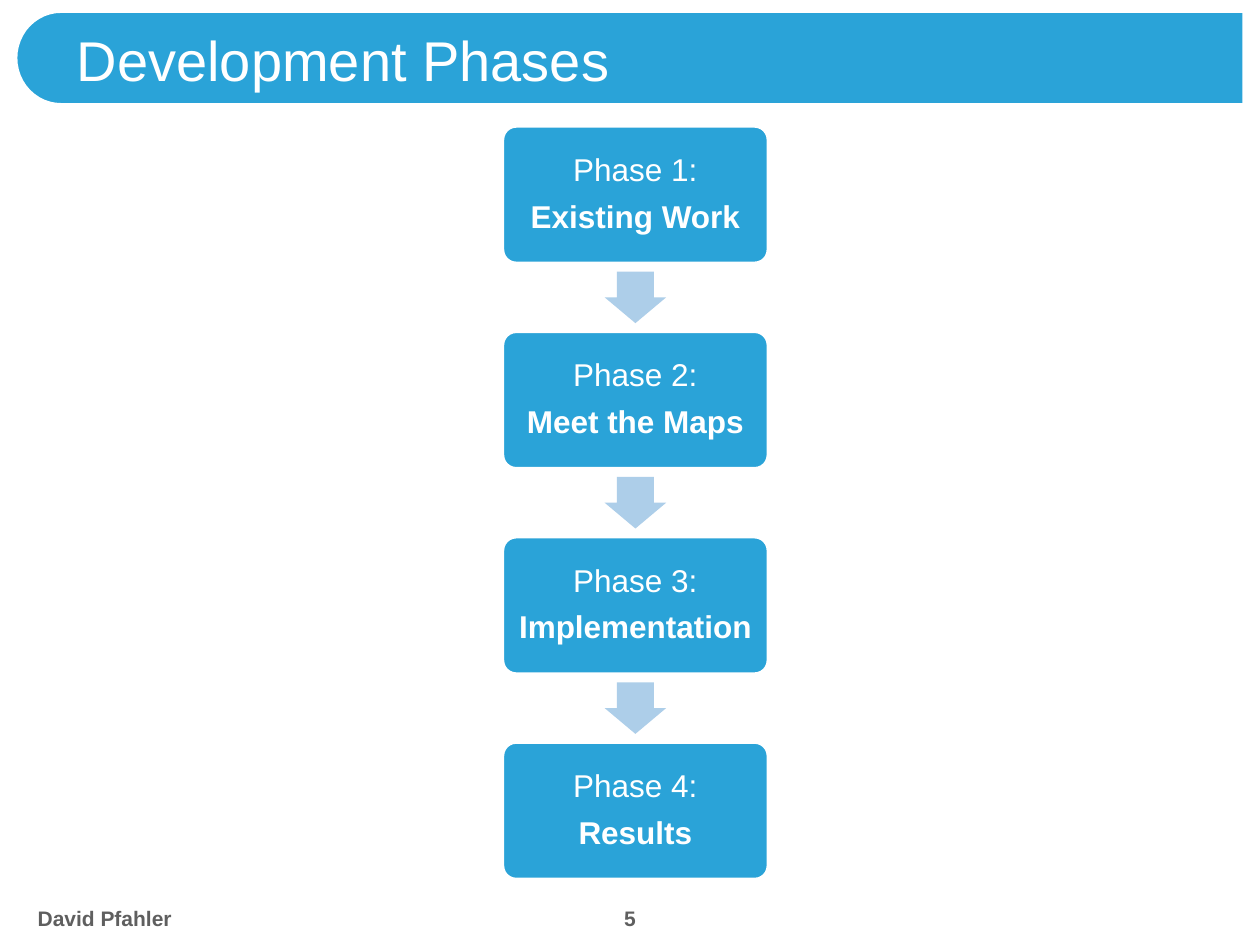
from math import cos, pi, sin
from pptx import Presentation
from pptx.dml.color import RGBColor
from pptx.enum.shapes import MSO_SHAPE
from pptx.enum.text import MSO_ANCHOR, PP_ALIGN
from pptx.util import Cm, Pt

ROUND, ARROW = MSO_SHAPE.ROUNDED_RECTANGLE, MSO_SHAPE.DOWN_ARROW
MID = MSO_ANCHOR.MIDDLE
LEFT, CENTER = PP_ALIGN.LEFT, PP_ALIGN.CENTER

HUES = {"blue": "2AA3D8", "pale": "ADCEE9", "white": "FFFFFF", "gray": "5F5F5F"}
PHASES = ["Existing Work", "Meet the Maps", "Implementation", "Results"]
LABELS = [
    ("Development Phases", (1.3, 0.13, 21.56, 2.11), LEFT, 32, False, "white"),
    ("David Pfahler", (0.51, 18.08, 10.21, 0.85), LEFT, 12, True, "gray"),
    ("5", (11.2, 18.08, 3, 0.85), CENTER, 12, True, "gray"),
]
PAD = Cm(0.18)
FRAME = {"word_wrap": True, "vertical_anchor": MID}
INSETS = {"margin_left": PAD, "margin_right": PAD,
          "margin_top": PAD, "margin_bottom": PAD}
SPACED = {"alignment": CENTER, "line_spacing": 0.9, "space_after": Pt(7.2)}

BOX_X, BOX_Y, BOX_W, BOX_H, STEP = 10.13, 2.54, 5.36, 2.77, 4.14
TIP_W, TIP_H = 1.24, 1.04
BAR_X, BAR_Y, BAR_W, BAR_H, ROUND_W = 0.33, 0.24, 24.74, 1.86, 0.9
ARC_STEPS = 24


def rgb(hue):
    return RGBColor.from_string(HUES[hue])


def put(item, values):
    for name, value in values.items():
        setattr(item, name, value)


def paint(shape, fill, line=None, width=0):
    shape.shadow.inherit = False
    shape.fill.solid()
    shape.fill.fore_color.rgb = rgb(fill)
    if line:
        shape.line.color.rgb = rgb(line)
        shape.line.width = Pt(width)
    else:
        shape.line.fill.background()


def write(para, text, size, bold, hue, layout):
    put(para, layout)
    run = para.add_run()
    run.text = text
    put(run.font, {"name": "Arial", "size": Pt(size), "bold": bold})
    run.font.color.rgb = rgb(hue)


def trace(slide, points):
    spots = [(Cm(x), Cm(y)) for x, y in points]
    pen = slide.shapes.build_freeform(*spots[0])
    pen.add_line_segments(spots[1:], close=True)
    return pen.convert_to_shape()


def preset(slide, kind, place, *adjust):
    shape = slide.shapes.add_shape(kind, *map(Cm, place))
    for i, value in enumerate(adjust):
        shape.adjustments[i] = value
    return shape


def banner(slide):
    half, end = BAR_H / 2, BAR_X + BAR_W
    turns = [pi / 2 + pi * i / ARC_STEPS for i in range(ARC_STEPS + 1)]
    arc = [(BAR_X + ROUND_W * (1 + cos(t)), BAR_Y + half * (1 + sin(t)))
           for t in turns]
    edge = [(end, BAR_Y + BAR_H), *arc, (end, BAR_Y)]
    paint(trace(slide, edge), "blue", "white", 1.25)
    paint(trace(slide, [(23.53, 1.47), (24.73, 1.47)]), "white")


def flow(slide):
    for i, name in enumerate(PHASES):
        top = BOX_Y + i * STEP
        box = preset(slide, ROUND, (BOX_X, top, BOX_W, BOX_H), 0.1)
        paint(box, "blue", "white", 2)
        frame = box.text_frame
        put(frame, FRAME | INSETS)
        write(frame.paragraphs[0], f"Phase {i + 1}:", 18, False, "white", SPACED)
        write(frame.add_paragraph(), name, 18, True, "white", SPACED)
        if i < len(PHASES) - 1:
            x = BOX_X + (BOX_W - TIP_W) / 2
            y = top + (BOX_H + STEP - TIP_H) / 2
            paint(preset(slide, ARROW, (x, y, TIP_W, TIP_H), 0.6, 0.5), "pale")


def main():
    deck = Presentation()
    put(deck, {"slide_width": Cm(25.4), "slide_height": Cm(19.05)})
    slide = deck.slides.add_slide(deck.slide_layouts[6])
    banner(slide)
    flow(slide)
    for text, place, align, size, bold, hue in LABELS:
        frame = slide.shapes.add_textbox(*map(Cm, place)).text_frame
        put(frame, FRAME)
        write(frame.paragraphs[0], text, size, bold, hue, {"alignment": align})
    deck.save("out.pptx")


if __name__ == "__main__":
    main()
